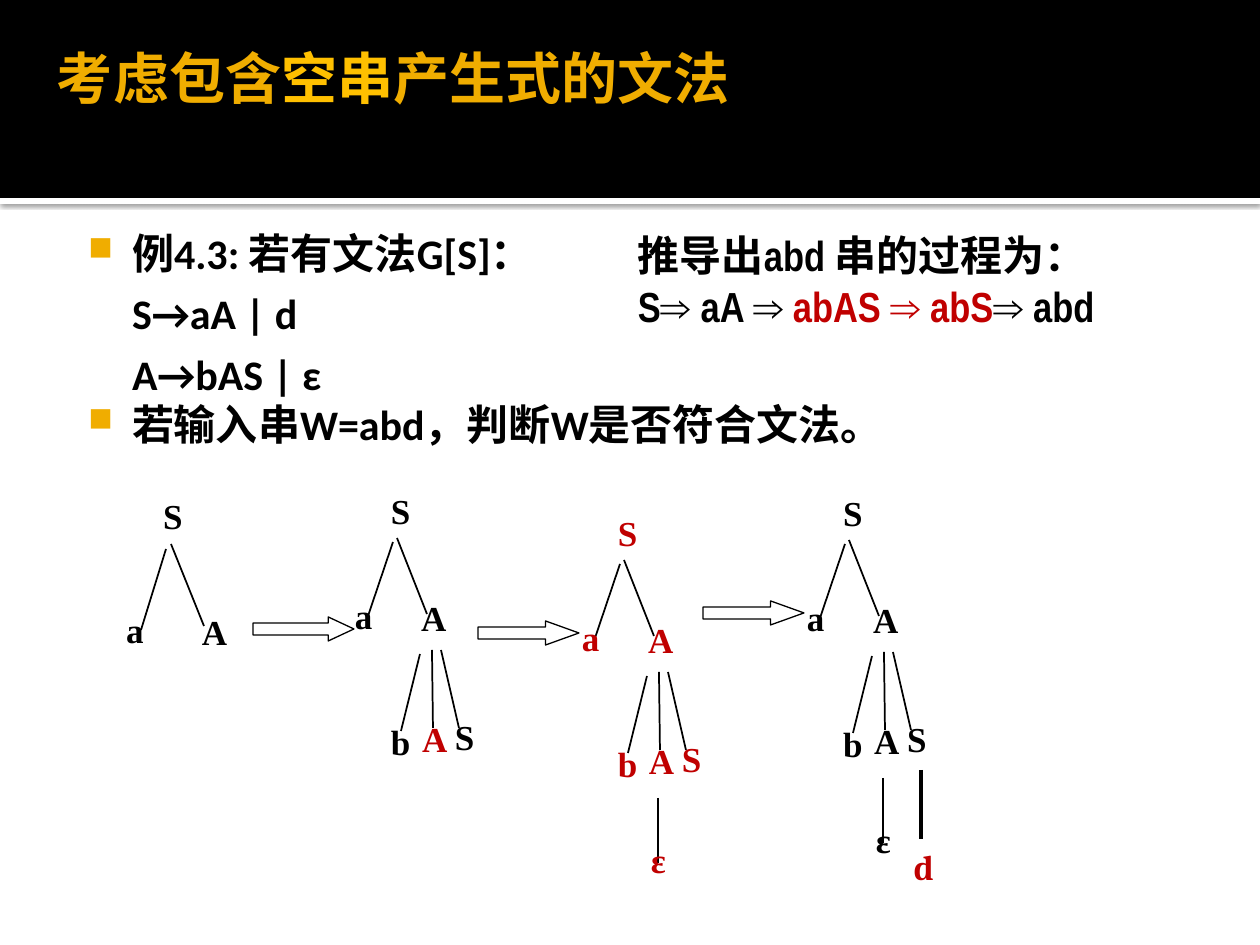
from lxml import etree
from pptx import Presentation
from pptx.dml.color import RGBColor
from pptx.enum.shapes import MSO_CONNECTOR, MSO_SHAPE
from pptx.enum.text import MSO_ANCHOR
from pptx.oxml import parse_xml
from pptx.oxml.ns import nsdecls, qn
from pptx.util import Pt

RECT, ARROW = MSO_SHAPE.RECTANGLE, MSO_SHAPE.RIGHT_ARROW
STRAIGHT = MSO_CONNECTOR.STRAIGHT
TOP = MSO_ANCHOR.TOP
PX = 914400 / 126
C = {"black": "000000", "white": "FFFFFF", "gold": "F0AD00",
     "amber": "FFC000", "red": "C00000"}

prs = Presentation()
prs.slide_width, prs.slide_height = round(1260 * PX), round(945 * PX)
s = prs.slides.add_slide(prs.slide_layouts[6])


def text(box, paras, font="Times New Roman", size=20, inset=(0, 0, 0, 0)):
    """Add a text box; paras is a list of lists of (text, colour[, font])."""
    sp = s.shapes.add_textbox(*[round(v * PX) for v in box])
    tf = sp.text_frame
    tf.word_wrap = True
    tf.vertical_anchor = TOP
    (tf.margin_left, tf.margin_top,
     tf.margin_right, tf.margin_bottom) = [round(v * PX) for v in inset]
    for i, runs in enumerate(paras):
        p = tf.paragraphs[0] if i == 0 else tf.add_paragraph()
        for words, color, *other in runs:
            r = p.add_run()
            r.text = words
            r.font.name = other[0] if other else font
            r.font.size, r.font.bold = Pt(size), True
            r.font.color.rgb = RGBColor.from_string(C[color])
    return tf


def line(x1, y1, x2, y2, width=1):
    cn = s.shapes.add_connector(STRAIGHT, *[round(v * PX) for v in (x1, y1, x2, y2)])
    cn.line.color.rgb = RGBColor.from_string(C["black"])
    cn.line.width = Pt(width)
    etree.SubElement(cn._element.spPr, qn("a:effectLst"))


# Header band and the white rule under it
for box, color in (((0, 198, 1260, 6), "white"), ((0, 0, 1260, 198), "black")):
    sp = s.shapes.add_shape(RECT, *[round(v * PX) for v in box])
    sp.fill.solid()
    sp.fill.fore_color.rgb = RGBColor.from_string(C[color])
    sp.line.fill.background()
    sp.shadow.inherit = False
    if color == "white":
        effects = sp._element.spPr.find(qn("a:effectLst"))
        effects.append(parse_xml(
            f'<a:outerShdw {nsdecls("a")} blurRad="31750" dist="10160" dir="5400000">'
            '<a:srgbClr val="000000"><a:alpha val="60000"/></a:srgbClr></a:outerShdw>'))

# Title
text((44, 37, 1092, 157),
     [[("考虑包含", "gold"), ("空串", "amber", "Times New Roman"),
       ("产生式的文法", "gold")]], "Calibri", 32, (13, 6, 6, 6))

# Grammar
grammar = ["例4.3: 若有文法G[S]：", "S→aA | d", "A→bAS | ε",
           "若输入串W=abd，判断W是否符合文法。"]
tf = text((64, 204, 1092, 268), [[(t, "black")] for t in grammar],
          "Calibri", 24, (8, 13, 13, 6))
for i, p in enumerate(tf.paragraphs):
    bullet = i in (0, 3)
    if i < 3:
        p.line_spacing = 1.2
    pPr = p._p.get_or_add_pPr()
    pPr.set("marL", str(round(60 * PX)))
    pPr.set("indent", str(round(-44 * PX) if bullet else 0))
    if bullet:
        for xml in (f'<a:buClr {nsdecls("a")}><a:srgbClr val="{C["gold"]}"/></a:buClr>',
                    f'<a:buSzPct {nsdecls("a")} val="80000"/>',
                    f'<a:buChar {nsdecls("a")} char="■"/>'):
            pPr.append(parse_xml(xml))

# Block arrows between the trees: left, top, head ratio
for x, y, head in ((253, 617, 1.07), (478, 621, 1.39), (703, 601, 1.39)):
    sp = s.shapes.add_shape(ARROW, *[round(v * PX) for v in (x, y, 101, 24)])
    sp.adjustments[0], sp.adjustments[1] = 0.5, head
    sp.fill.solid()
    sp.fill.fore_color.rgb = RGBColor.from_string(C["white"])
    sp.line.color.rgb = RGBColor.from_string(C["black"])
    sp.line.width = Pt(0.75)
    sp.shadow.inherit = False

# Tree parts, relative to the root letter
small_edges = [(3, 54, -22, 135), (8, 49, 41, 131)]
small_nodes = [("S", 0, 0), ("a", -37, 114), ("A", 39, 116)]
edges = [(2, 52, -24, 129), (6, 48, 36, 124), (29, 164, 10, 241),
         (41, 160, 42, 238), (50, 160, 68, 238)]
nodes = [("S", 0, 0), ("a", -36, 105), ("A", 30, 107),
         ("b", 0, 231), ("A", 31, 228), ("S", 64, 226)]
eps_edge, eps_node = [(40, 286, 40, 351)], [("ε", 33, 327)]

# Four derivation steps: root position, edges, nodes, red node indexes
steps = [
    (163, 495, small_edges, small_nodes, ()),
    (391, 490, edges, nodes, (4,)),
    (618, 512, edges + eps_edge, nodes + eps_node, range(7)),
    (843, 492, edges + eps_edge, nodes + eps_node, ()),
]
for x, y, tree_edges, tree_nodes, red in steps:
    for x1, y1, x2, y2 in tree_edges:
        line(x + x1, y + y1, x + x2, y + y2)
    for i, (letter, dx, dy) in enumerate(tree_nodes):
        text((x + dx, y + dy, 20, 64), [[(letter, "red" if i in red else "black")]])

# Last leaf
line(921, 770, 921, 839, 2.25)
text((901, 839, 49, 55), [[("d", "red")]], "Cambria", 20, (13, 6, 13, 6))

# Derivation of abd
text((625, 224, 630, 115),
     [[("推导出abd 串的过程为：", "black")],
      [("S⇒ aA ⇒ ", "black"), ("abAS ⇒ abS", "red"), ("⇒ abd", "black")]],
     "Arial Narrow", 24, (13, 6, 13, 6))

prs.save("out.pptx")
